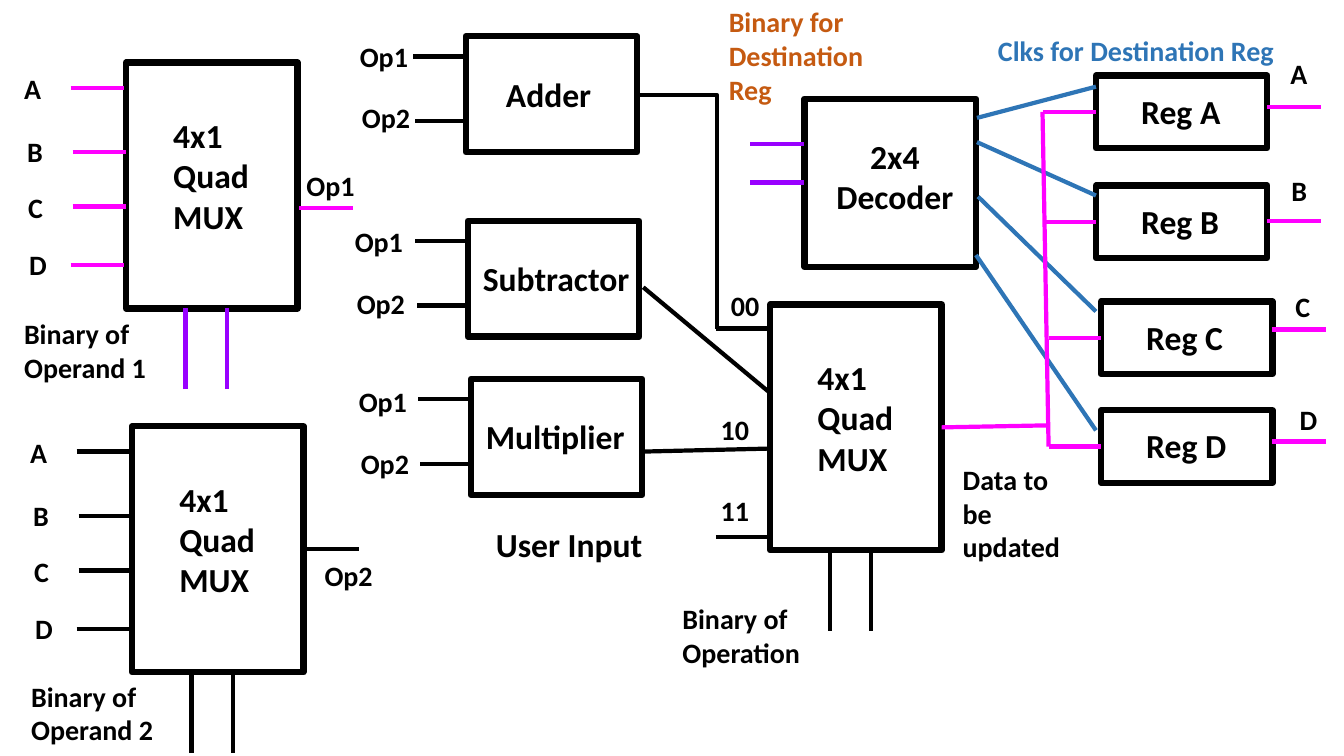
from dataclasses import dataclass

from lxml.etree import SubElement
from pptx import Presentation
from pptx.dml.color import RGBColor
from pptx.enum.shapes import MSO_CONNECTOR as Route, MSO_SHAPE as Preset
from pptx.enum.text import MSO_AUTO_SIZE as Fit, PP_ALIGN as Align
from pptx.oxml.ns import qn
from pptx.util import Inches, Pt

BLACK = RGBColor(0x00, 0x00, 0x00)
MAGENTA = RGBColor(0xFF, 0x00, 0xFF)
PURPLE = RGBColor(0x99, 0x00, 0xFF)
BLUE = RGBColor(0x2E, 0x75, 0xB6)
ORANGE = RGBColor(0xC5, 0x5A, 0x11)

BLOCK_WIDTH = 1.7
MUX_HEIGHT = 2.44
UNIT_HEIGHT = 1.15
REGISTER_HEIGHT = 0.72
STUB = 0.53
LETTER_WIDTHS = {"A": 0.37, "B": 0.36, "C": 0.35, "D": 0.38}


@dataclass
class Mux:
    left: float
    top: float
    caption: str
    caption_at: tuple[float, float]
    select_color: RGBColor = BLACK


@dataclass
class OperandMux(Mux):
    wire_color: RGBColor = BLACK
    output: str = ""
    output_at: tuple[float, float] = (0, 0)
    output_y: float = 0


@dataclass
class Unit:
    name: str
    left: float
    top: float
    name_left: float
    name_width: float
    operands_at: tuple[float, float]


@dataclass
class Register:
    letter: str
    left: float
    top: float
    bus_x: float
    output_y: float
    letter_at: tuple[float, float]
    clock_from: tuple[float, float]
    clock_y: float


OPERAND_MUXES = [
    OperandMux(1.25, 0.62, "Binary of\nOperand 1", (0.14, 3.09), PURPLE,
               MAGENTA, "Op1", (2.94, 1.62), 2.06),
    OperandMux(1.31, 4.23, "Binary of\nOperand 2", (0.21, 6.69), BLACK,
               BLACK, "Op2", (3.12, 5.49), 5.45),
]
RESULT_MUX = Mux(7.64, 3.02, "Binary of\nOperation", (6.67, 5.92))
# Letter, wire start x, wire y, letter x and letter y, all from the mux corner
MUX_INPUTS = [
    ("A", -0.55, 0.25, -1.11, 0.04),
    ("B", -0.53, 0.89, -1.08, 0.67),
    ("C", -0.53, 1.43, -1.07, 1.22),
    ("D", -0.55, 2.01, -1.06, 1.79),
]
UNITS = [
    Unit("Adder", 4.62, 0.36, 4.92, 1.06, (3.47, 0.34)),
    Unit("Subtractor", 4.64, 2.19, 4.69, 1.67, (3.42, 2.18)),
    Unit("Multiplier", 4.67, 3.76, 4.72, 1.59, (3.46, 3.77)),
]
REGISTERS = [
    Register("A", 10.87, 0.75, 10.34, 1.06, (12.7, 0.51), (9.69, 1.17), 0.86),
    Register("B", 10.87, 1.84, 10.34, 2.19, (12.71, 1.67), (9.69, 1.41), 1.94),
    Register("C", 10.92, 2.99, 10.4, 3.27, (12.75, 2.82), (9.7, 1.95), 3.09),
    Register("D", 10.92, 4.07, 10.4, 4.38, (12.79, 3.94), (9.68, 2.53), 4.27),
]
SELECT_CODES = [("00", 7.15, 2.81), ("10", 7.05, 4.04), ("11", 7.05, 4.85)]

deck = Presentation()
deck.slide_width, deck.slide_height = Inches(13.33), Inches(7.5)
page = deck.slides.add_slide(deck.slide_layouts[6])


def draw_block(left: float, top: float, height: float) -> None:
    box = page.shapes.add_shape(Preset.RECTANGLE, Inches(left), Inches(top),
                                Inches(BLOCK_WIDTH), Inches(height))
    box.shadow.inherit = False
    box.fill.background()
    box.line.color.rgb = BLACK
    box.line.width = Pt(4.5)


def draw_wire(x1: float, y1: float, x2: float, y2: float,
              color: RGBColor = BLACK, bent: bool = False) -> None:
    wire = page.shapes.add_connector(Route.ELBOW if bent else Route.STRAIGHT,
                                     Inches(x1), Inches(y1), Inches(x2), Inches(y2))
    wire.line.color.rgb = color
    wire.line.width = Pt(3)
    properties = wire._element.spPr
    SubElement(properties, qn("a:effectLst"))
    if bent:
        # One corner only: across, then down
        properties.find(qn("a:prstGeom")).set("prst", "bentConnector2")


def draw_label(text: str, left: float, top: float, width: float, size: int = 20,
               color: RGBColor = BLACK, wrap: bool = False,
               align: Align = Align.LEFT, height: float = 0.44) -> None:
    box = page.shapes.add_textbox(Inches(left), Inches(top), Inches(width), Inches(height))
    frame = box.text_frame
    frame.text = text
    frame.word_wrap = wrap
    frame.auto_size = Fit.SHAPE_TO_FIT_TEXT
    look = {"name": "Calibri", "size": Pt(size), "bold": True}
    for para in frame.paragraphs:
        para.alignment = align
        for span in para.runs:
            for key, value in look.items():
                setattr(span.font, key, value)
            span.font.color.rgb = color


def draw_mux(mux: Mux) -> None:
    draw_block(mux.left, mux.top, MUX_HEIGHT)
    draw_label("4x1\nQuad\nMUX", mux.left + 0.37, mux.top + 0.47, 0.96, 24, height=1.31)
    bottom = mux.top + MUX_HEIGHT
    for dx in (0.59, 1.0):
        draw_wire(mux.left + dx, bottom + 0.8, mux.left + dx, bottom, mux.select_color)
    draw_label(mux.caption, *mux.caption_at, 1.42, height=0.77)


def draw_operand_mux(mux: OperandMux) -> None:
    draw_mux(mux)
    for letter, wire_dx, wire_dy, letter_dx, letter_dy in MUX_INPUTS:
        start, y = mux.left + wire_dx, mux.top + wire_dy
        draw_wire(start, y, start + STUB, y, mux.wire_color)
        draw_label(letter, mux.left + letter_dx, mux.top + letter_dy, LETTER_WIDTHS[letter])
    start = mux.left + BLOCK_WIDTH + 0.02
    draw_wire(start, mux.output_y, start + STUB, mux.output_y, mux.wire_color)
    draw_label(mux.output, *mux.output_at, 0.68)


def draw_unit(unit: Unit) -> None:
    draw_block(unit.left, unit.top, UNIT_HEIGHT)
    draw_label(unit.name, unit.name_left, unit.top + 0.32, unit.name_width, 24, height=0.5)
    label_left, label_top = unit.operands_at
    for index, operand in enumerate(("Op1", "Op2")):
        start, y = unit.left - 0.52 + 0.02 * index, unit.top + 0.2 + 0.64 * index
        draw_wire(start, y, start + STUB, y)
        draw_label(operand, label_left + 0.02 * index, label_top + 0.61 * index, 0.68)


def draw_register(register: Register) -> None:
    left, middle = register.left, register.top + REGISTER_HEIGHT / 2
    right = left + BLOCK_WIDTH
    draw_block(left, register.top, REGISTER_HEIGHT)
    draw_label(f"Reg {register.letter}", left + 0.35, register.top + 0.1, 1.1, 24, height=0.5)
    draw_wire(register.bus_x, middle, left, middle, MAGENTA)
    draw_wire(right, register.output_y, right + STUB, register.output_y, MAGENTA)
    draw_label(register.letter, *register.letter_at, LETTER_WIDTHS[register.letter])
    draw_wire(*register.clock_from, 10.87, register.clock_y, BLUE)


# Operand selection and arithmetic units
for operand_mux in OPERAND_MUXES:
    draw_operand_mux(operand_mux)
for unit in UNITS:
    draw_unit(unit)
draw_label("User Input", 4.82, 5.15, 1.67, 24, height=0.5)

# Result selection
draw_mux(RESULT_MUX)
draw_wire(6.33, 0.94, 7.11, 3.26, bent=True)
draw_wire(7.1, 3.26, 7.62, 3.26)
draw_wire(6.38, 2.85, 7.64, 3.9)
draw_wire(6.38, 4.48, 7.64, 4.45)
draw_wire(7.1, 5.33, 7.62, 5.33)
for code, code_left, code_top in SELECT_CODES:
    draw_label(code, code_left, code_top, 0.49)

# Destination decoder
draw_block(7.98, 0.98, 1.67)
draw_label("2x4\nDecoder", 8.19, 1.3, 1.37, 24, align=Align.CENTER, height=0.91)
for select_y in (1.43, 1.81):
    draw_wire(7.44, select_y, 7.97, select_y, PURPLE)
draw_label("Binary for Destination Reg", 7.13, 0, 2.01, color=ORANGE, wrap=True, height=1.11)

# Registers and data bus
for register in REGISTERS:
    draw_register(register)
draw_wire(10.34, 1.11, 10.4, 4.43, MAGENTA)
draw_wire(9.34, 4.24, 10.4, 4.22, MAGENTA)
draw_label("Data to be updated", 9.45, 4.54, 1.3, wrap=True, height=1.11)
draw_label("Clks for Destination Reg", 9.8, 0.28, 2.96, color=BLUE)

deck.save("out.pptx")
